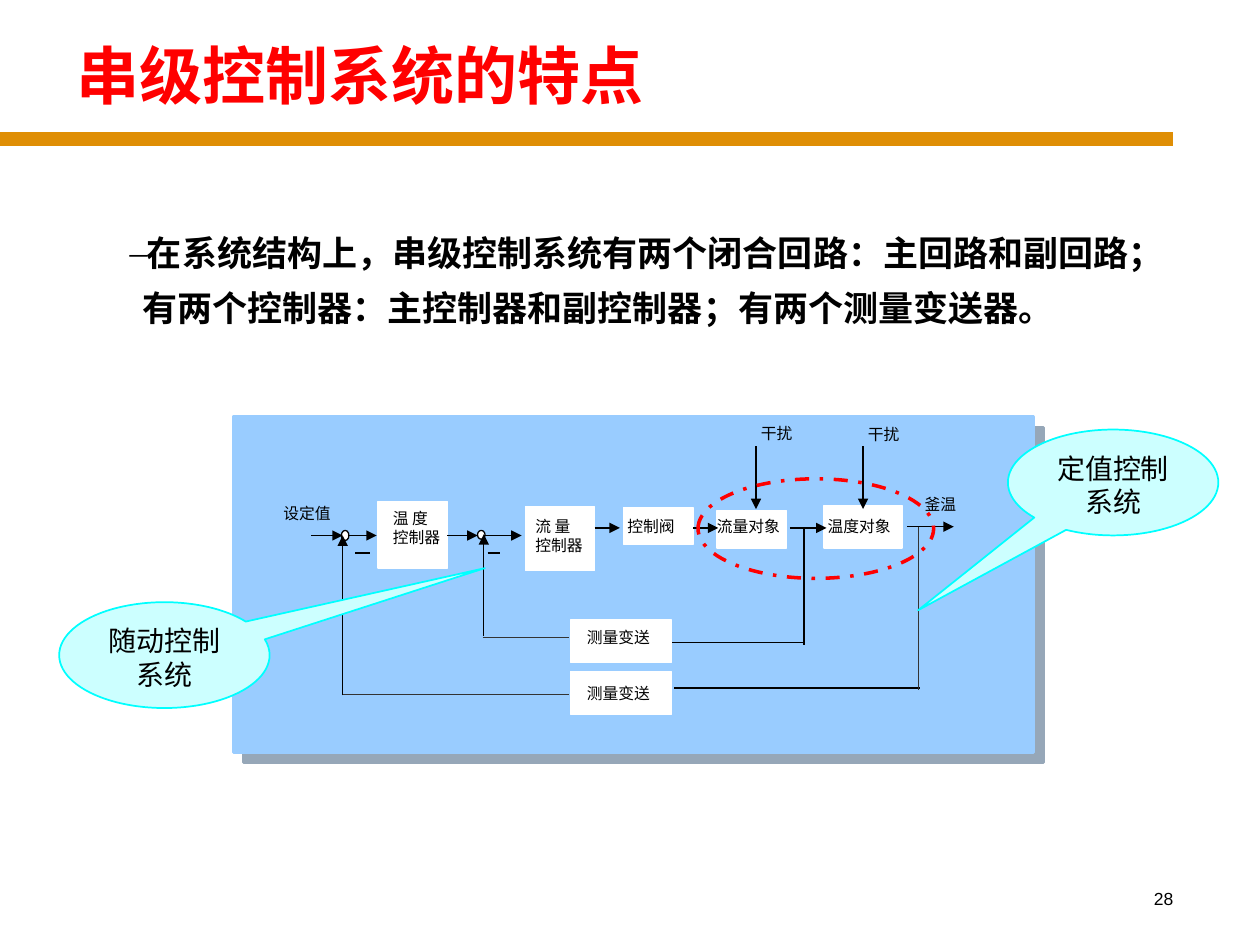
from lxml.etree import SubElement
from pptx import Presentation
from pptx.dml.color import RGBColor
from pptx.enum.dml import MSO_LINE
from pptx.enum.shapes import MSO_CONNECTOR, MSO_SHAPE
from pptx.enum.text import MSO_ANCHOR, PP_ALIGN
from pptx.oxml.ns import qn
from pptx.util import Inches, Pt

HUES = {"black": "000000", "white": "FFFFFF", "red": "FF0000", "gold": "DF8E05",
        "panel": "99CCFF", "shade": "96A7B8", "gray": "333333",
        "pale": "CCFFFF", "cyan": "00FFFF"}
SERIF = "Times New Roman"

TITLE = "串级控制系统的特点"
BODY = "在系统结构上，串级控制系统有两个闭合回路：主回路和副回路；有两个控制器：主控制器和副控制器；有两个测量变送器。"
BLOCKS = [(3, 3.98, 0.55, 0.53), (4.17, 4.02, 0.55, 0.51), (4.95, 4.03, 0.55, 0.29),
          (5.69, 4.05, 0.55, 0.3), (6.54, 4.01, 0.62, 0.34),
          (4.53, 4.92, 0.8, 0.34), (4.53, 5.33, 0.8, 0.34)]
LABELS = [("设定值", 2.15, 3.95, 0.71), ("温 度\n控制器", 3.02, 3.99, 0.82),
          ("流 量\n控制器", 4.15, 4.05, 0.82), ("控制阀", 4.88, 4.05, 0.79),
          ("流量对象", 5.59, 4.05, 1.02), ("温度对象", 6.47, 4.05, 1.02),
          ("干扰", 5.94, 3.31, 1.02), ("干扰", 6.79, 3.32, 1.02),
          ("釜温", 7.24, 3.88, 0.71), ("测量变送", 4.56, 4.93, 0.94),
          ("测量变送", 4.56, 5.38, 0.94)]
NODES = [(2.71, 4.21, 0.06, 0.08), (3.79, 4.21, 0.06, 0.07)]
ARROWS = [(2.47, 4.25, 2.72, 4.25), (2.76, 4.25, 2.99, 4.25), (3.55, 4.25, 3.79, 4.25),
          (3.84, 4.25, 4.14, 4.25), (4.72, 4.19, 4.92, 4.19), (5.5, 4.19, 5.7, 4.19),
          (6.27, 4.19, 6.56, 4.19), (7.2, 4.18, 7.57, 4.18), (6, 3.54, 6, 4.04),
          (6.85, 3.54, 6.85, 4.04), (3.84, 5.05, 3.84, 4.24), (2.72, 5.52, 2.72, 4.25)]
WIRES = [(6.38, 4.19, 6.38, 5.12), (6.38, 5.1, 5.33, 5.1), (5.35, 5.46, 7.3, 5.46),
         (2.82, 4.39, 2.94, 4.39), (3.87, 4.39, 3.97, 4.39)]
THIN = [(3.83, 5.06, 4.52, 5.06), (2.72, 5.51, 4.52, 5.51), (7.29, 4.18, 7.29, 5.48)]
CALLOUTS = [("定值控制系统", 8, 3.41, -0.927, 1.207),
            ("随动控制系统", 0.47, 4.78, 1.523, -0.822)]

deck = Presentation()
deck.slide_width, deck.slide_height = Inches(10), Inches(7.5)
slide = deck.slides.add_slide(deck.slide_layouts[6])
shapes = slide.shapes


def hue(name):
    return RGBColor.from_string(HUES[name])


def write(frame, text, size=9, font=SERIF, color="black", bold=False,
          align=None, anchor=MSO_ANCHOR.TOP):
    frame.word_wrap = True
    frame.vertical_anchor = anchor
    for n, line in enumerate(text.split("\n")):
        para = frame.paragraphs[0] if n == 0 else frame.add_paragraph()
        para.alignment = align
        run = para.add_run()
        run.text = line
        run.font.size, run.font.name, run.font.bold = Pt(size), font, bold
        run.font.color.rgb = hue(color)


def label(text, x, y, w, h, **style):
    frame = shapes.add_textbox(*map(Inches, (x, y, w, h))).text_frame
    write(frame, text, **style)
    return frame.paragraphs[0]._p.get_or_add_pPr()


def draw(kind, place, fill, line, width=0.75):
    shape = shapes.add_shape(kind, *map(Inches, place))
    shape.shadow.inherit = False
    if fill:
        shape.fill.solid()
        shape.fill.fore_color.rgb = hue(fill)
    else:
        shape.fill.background()
    shape.line.color.rgb = hue(line)
    shape.line.width = Pt(width)
    return shape


def wire(ends, color="black", width=0.75, head=False):
    link = shapes.add_connector(MSO_CONNECTOR.STRAIGHT, *map(Inches, ends))
    link.line.color.rgb = hue(color)
    link.line.width = Pt(width)
    if head:
        SubElement(link.line._get_or_add_ln(), qn("a:tailEnd"), type="triangle")
    SubElement(link._element.spPr, qn("a:effectLst"))


wire((0, 1.1, 9.31, 1.1), color="gold", width=8)
label("28", 7.33, 7, 2.08, 0.5, size=10, font="Arial", align=PP_ALIGN.RIGHT)

props = label(BODY, 0.52, 1.69, 8.96, 1.19, size=20, font="Arial", bold=True)
props.set("marL", str(Inches(0.51)))
props.set("indent", str(Inches(-0.1)))
tint = SubElement(props, qn("a:buClr"))
SubElement(tint, qn("a:srgbClr"), val=HUES["black"])
SubElement(props, qn("a:buFont"), typeface=SERIF)
SubElement(props, qn("a:buChar"), char="–")
shapes[-1].text_frame.paragraphs[0].line_spacing = 1.3

panel = draw(MSO_SHAPE.RECTANGLE, (1.85, 3.31, 6.35, 2.66), "panel", "panel", 1.75)
effects = panel._element.spPr.find(qn("a:effectLst"))
shadow = SubElement(effects, qn("a:outerShdw"), dist=str(Pt(8.5)),
                    dir=str(45 * 60000), algn="ctr", rotWithShape="0")
SubElement(shadow, qn("a:srgbClr"), val=HUES["shade"])

for place in BLOCKS:
    draw(MSO_SHAPE.RECTANGLE, place, "white", "white")
for place in NODES:
    draw(MSO_SHAPE.OVAL, place, "white", "black")
for ends in ARROWS:
    wire(ends, head=True)
for ends in WIRES:
    wire(ends)
for ends in THIN:
    wire(ends, color="gray")
for text, x, y, w in LABELS:
    label(text, x, y, w, 0.78 if "\n" in text else 0.51, align=PP_ALIGN.JUSTIFY)

for text, x, y, dx, dy in CALLOUTS:
    bubble = draw(MSO_SHAPE.OVAL_CALLOUT, (x, y, 1.67, 0.84), "pale", "cyan", 1)
    bubble.adjustments[0], bubble.adjustments[1] = dx, dy
    write(bubble.text_frame, text, size=16, align=PP_ALIGN.CENTER)

ring = draw(MSO_SHAPE.OVAL, (5.54, 3.8, 1.87, 0.79), None, "red", 2)
ring.line.dash_style = MSO_LINE.DASH_DOT

props = label(TITLE, 0.42, 0.17, 9, 0.84, size=36, font="Arial", color="red",
              bold=True, anchor=MSO_ANCHOR.MIDDLE)
props.set("marL", str(Inches(0.09)))

deck.save("out.pptx")
